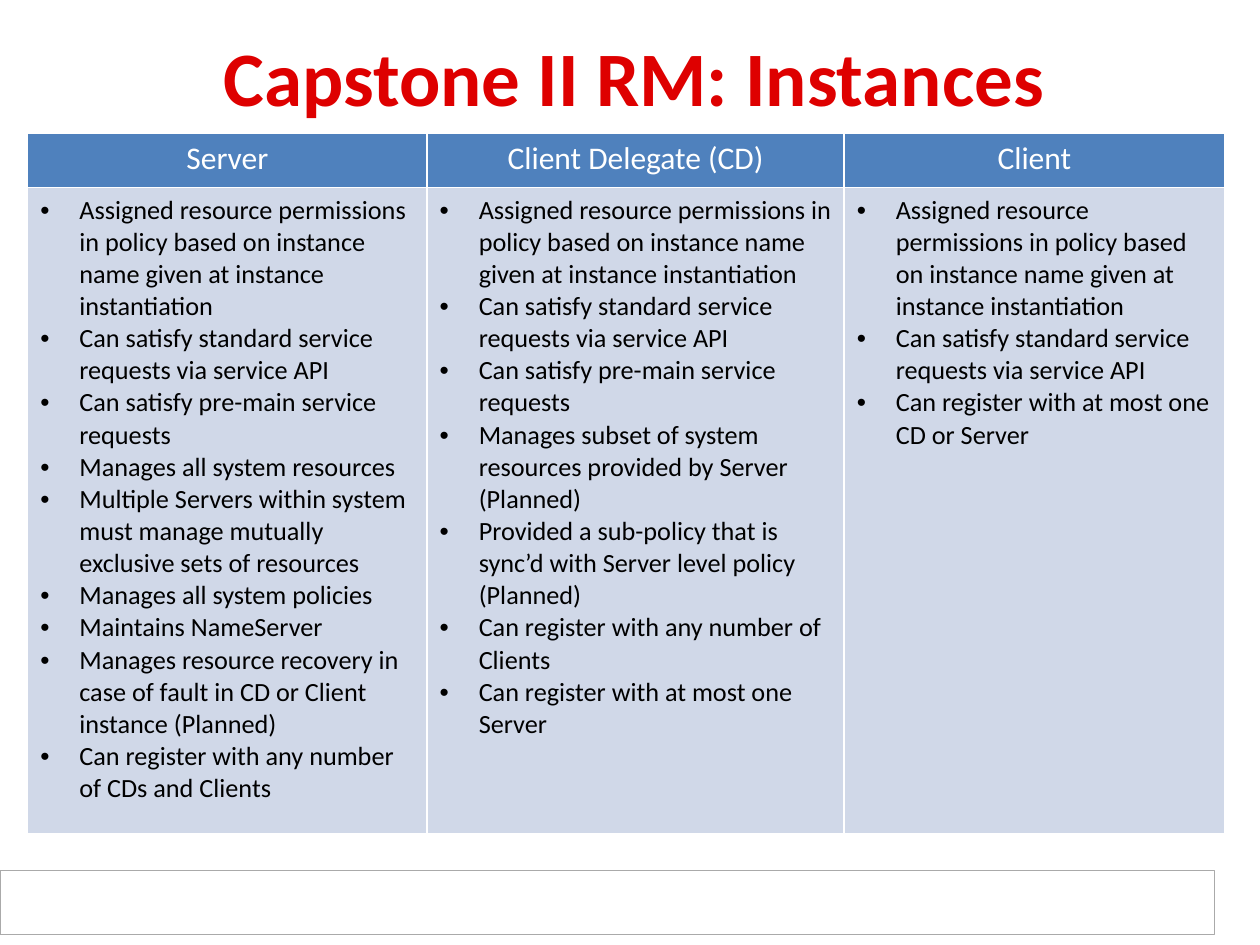
from lxml.etree import SubElement
from pptx import Presentation
from pptx.dml.color import RGBColor
from pptx.enum.shapes import MSO_SHAPE
from pptx.enum.text import MSO_ANCHOR, PP_ALIGN
from pptx.oxml.ns import qn
from pptx.util import Inches, Pt

FONT = "Calibri"
PERMISSIONS = ("Assigned resource permissions in policy based on instance "
               "name given at instance instantiation")
SERVICE_API = "Can satisfy standard service requests via service API"
PRE_MAIN = "Can satisfy pre-main service requests"

INSTANCES = [
    ("Server", 3.17, [
        PERMISSIONS,
        SERVICE_API,
        PRE_MAIN,
        "Manages all system resources",
        "Multiple Servers within system must manage mutually exclusive sets of resources",
        "Manages all system policies",
        "Maintains NameServer",
        "Manages resource recovery in case of fault in CD or Client instance (Planned)",
        "Can register with any number of CDs and Clients",
    ]),
    ("Client Delegate (CD)", 3.31, [
        PERMISSIONS,
        SERVICE_API,
        PRE_MAIN,
        "Manages subset of system resources provided by Server (Planned)",
        "Provided a sub-policy that is sync’d with Server level policy (Planned)",
        "Can register with any number of Clients",
        "Can register with at most one Server",
    ]),
    ("Client", 3.02, [
        PERMISSIONS,
        SERVICE_API,
        "Can register with at most one CD or Server",
    ]),
]


def color(value):
    return RGBColor.from_string(value)


def set_font(paragraph, size, value, bold=False):
    font = paragraph.font
    font.name, font.size, font.bold = FONT, Pt(size), bold
    font.color.rgb = color(value)


def add_bullet(paragraph):
    properties = paragraph._p.get_or_add_pPr()
    properties.set("marL", str(Inches(0.31)))
    properties.set("indent", str(-Inches(0.31)))
    SubElement(properties, qn("a:buFont"), typeface="Arial")
    SubElement(properties, qn("a:buChar"), char="•")


def style_cell(cell, fill):
    properties = cell._tc.get_or_add_tcPr()
    for side in ("lnL", "lnR", "lnT", "lnB"):
        border = SubElement(properties, qn(f"a:{side}"), w=str(Pt(1)))
        solid = SubElement(border, qn("a:solidFill"))
        SubElement(solid, qn("a:srgbClr"), val="FFFFFF")
    cell.fill.solid()
    cell.fill.fore_color.rgb = color(fill)


def add_footer_box(slide, left, top, width, height):
    shape = slide.shapes.add_shape(MSO_SHAPE.RECTANGLE, left, top, width, height)
    shape.shadow.inherit = False
    shape.fill.solid()
    shape.fill.fore_color.rgb = color("FFFFFF")
    shape.line.color.rgb = color("AAAAAA")
    shape.line.width = Pt(0.75)


def place_title(slide, text, left, top, width, height):
    title = slide.shapes.title
    title.left, title.top, title.width, title.height = left, top, width, height
    frame = title.text_frame
    frame.text = text
    frame.vertical_anchor = MSO_ANCHOR.MIDDLE
    paragraph = frame.paragraphs[0]
    paragraph.alignment = PP_ALIGN.CENTER
    set_font(paragraph, 44, "DE0000", bold=True)


def add_instance_table(slide, left, top, width, height):
    header_height = Inches(0.43)
    table = slide.shapes.add_table(2, len(INSTANCES), left, top, width, height).table
    table.first_row = table.horz_banding = False
    table.rows[0].height = header_height
    table.rows[1].height = height - header_height
    for index, (name, column_width, points) in enumerate(INSTANCES):
        table.columns[index].width = Inches(column_width)
        header, body = table.cell(0, index), table.cell(1, index)
        style_cell(header, "4F81BD")
        style_cell(body, "D0D8E8")
        header.text = name
        header_paragraph = header.text_frame.paragraphs[0]
        header_paragraph.alignment = PP_ALIGN.CENTER
        set_font(header_paragraph, 18, "FFFFFF")
        body.text = "\n".join(points)
        for paragraph in body.text_frame.paragraphs:
            add_bullet(paragraph)
            set_font(paragraph, 15, "000000")


def main():
    presentation = Presentation()
    presentation.slide_width, presentation.slide_height = Inches(10), Inches(7.5)
    slide = presentation.slides.add_slide(presentation.slide_layouts[5])
    add_footer_box(slide, Inches(0), Inches(6.91), Inches(9.64), Inches(0.51))
    place_title(slide, "Capstone II RM: Instances",
                Inches(0.41), Inches(0.18), Inches(9.25), Inches(0.84))
    add_instance_table(slide, Inches(0.22), Inches(1.06), Inches(9.5), Inches(5.56))
    presentation.save("out.pptx")


if __name__ == "__main__":
    main()
